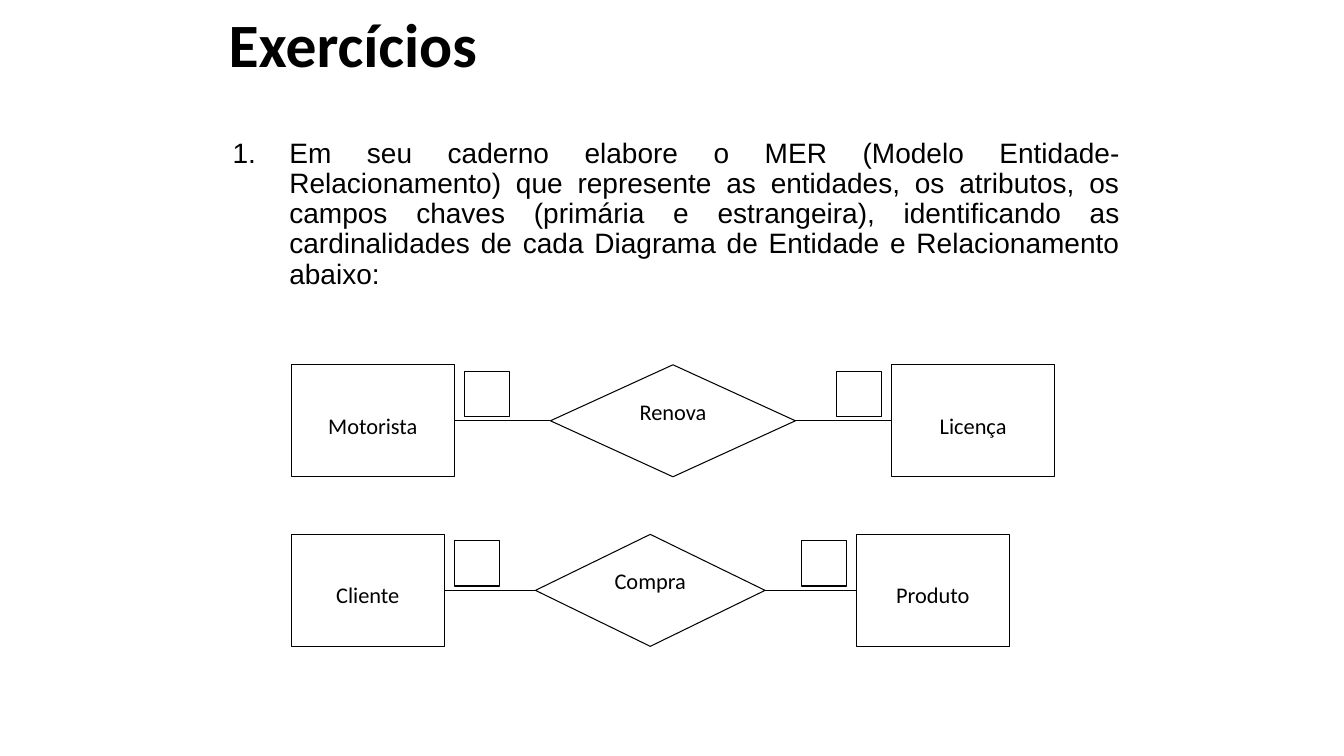
from lxml.etree import SubElement
from pptx import Presentation
from pptx.dml.color import RGBColor
from pptx.enum.shapes import MSO_CONNECTOR, MSO_SHAPE
from pptx.enum.text import MSO_ANCHOR, PP_ALIGN
from pptx.oxml.ns import qn
from pptx.util import Pt

BLACK = RGBColor(0, 0, 0)
WHITE = RGBColor(255, 255, 255)

LEFT = 208
HEIGHT = 80
MARK_SIZE = 32.4
MARK_GAP = 7
MARK_RISE = 35.5

# axis, entity width, diamond width, gap, labels from left to right
ROWS = [
    (300.6, 116.6, 175, 68.6, ("Motorista", "Renova", "Licença")),
    (421.7, 109.4, 164, 65.1, ("Cliente", "Compra", "Produto")),
]


def style_text(para, text, font_name, size, align):
    para.text = text
    para.alignment = align
    font = para.runs[0].font
    font.name = font_name
    font.size = Pt(size)
    font.color.rgb = BLACK


def add_outlined(kind, left, top, width, height, label="", margin_top=3.6):
    """Add a white shape with a thin black outline and an optional label."""
    shape = slide.shapes.add_shape(kind, Pt(left), Pt(top), Pt(width), Pt(height))
    shape.shadow.inherit = False
    shape.fill.solid()
    shape.fill.fore_color.rgb = WHITE
    shape.line.color.rgb = BLACK
    shape.line.width = Pt(0.75)
    if label:
        frame = shape.text_frame
        frame.vertical_anchor = MSO_ANCHOR.TOP
        frame.margin_top = Pt(margin_top)
        style_text(frame.paragraphs[0], label, "Calibri", 16, PP_ALIGN.CENTER)
    return shape


deck = Presentation()
deck.slide_width = Pt(960)
deck.slide_height = Pt(540)
slide = deck.slides.add_slide(deck.slide_layouts[5])

title = slide.shapes.title
title.left, title.top, title.width, title.height = Pt(156.2), Pt(0), Pt(648), Pt(67.7)
title.text_frame.vertical_anchor = MSO_ANCHOR.MIDDLE
title_para = title.text_frame.paragraphs[0]
style_text(title_para, "Exercícios", "Calibri", 44, PP_ALIGN.LEFT)
title_para.line_spacing = 0.9
title_para.runs[0].font.bold = True

task = slide.shapes.add_textbox(Pt(159.1), Pt(95.8), Pt(648), Pt(130))
task.text_frame.word_wrap = True
task_para = task.text_frame.paragraphs[0]
style_text(
    task_para,
    "Em seu caderno elabore o MER (Modelo Entidade-Relacionamento) que represente "
    "as entidades, os atributos, os campos chaves (primária e estrangeira), "
    "identificando as cardinalidades de cada Diagrama de Entidade e "
    "Relacionamento abaixo:",
    "Arial", 20, PP_ALIGN.JUSTIFY,
)
task_para.line_spacing = 0.9
properties = task_para._p.get_or_add_pPr()
properties.set("marL", str(Pt(40.5)))
properties.set("indent", str(-Pt(40.5)))
SubElement(properties, qn("a:buFont"), typeface="Arial")
SubElement(properties, qn("a:buAutoNum"), type="arabicPeriod")

for axis, entity_width, diamond_width, gap, labels in ROWS:
    top = axis - HEIGHT / 2
    entity_right = LEFT + entity_width
    diamond_left = entity_right + gap
    second_left = diamond_left + diamond_width + gap

    first = add_outlined(MSO_SHAPE.RECTANGLE, LEFT, top, entity_width, HEIGHT,
                         labels[0], 33.5)
    relation = add_outlined(MSO_SHAPE.DIAMOND, diamond_left, top, diamond_width,
                            HEIGHT, labels[1])
    second = add_outlined(MSO_SHAPE.RECTANGLE, second_left, top, entity_width,
                          HEIGHT, labels[2], 33.5)

    for start, end in ((first, relation), (relation, second)):
        link = slide.shapes.add_connector(MSO_CONNECTOR.STRAIGHT, 0, 0, 0, 0)
        link.begin_connect(start, 3)
        link.end_connect(end, 1)
        link.line.color.rgb = BLACK
        link.line.width = Pt(0.75)
        SubElement(link._element.spPr, qn("a:effectLst"))

    for mark_left in (entity_right + MARK_GAP, second_left - MARK_GAP - MARK_SIZE):
        add_outlined(MSO_SHAPE.RECTANGLE, mark_left, axis - MARK_RISE,
                     MARK_SIZE, MARK_SIZE)

deck.save("out.pptx")
